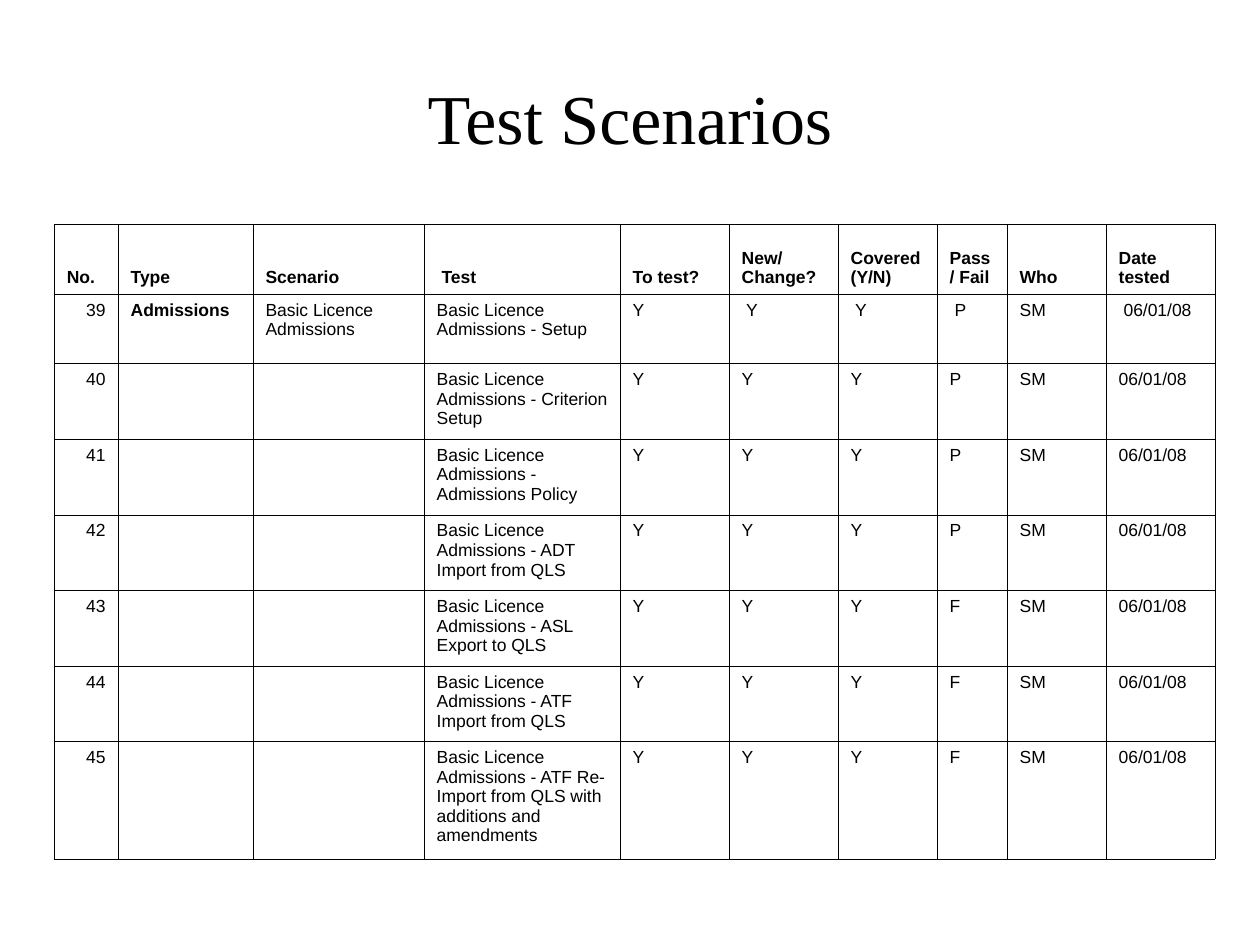
from dataclasses import dataclass

from lxml.etree import SubElement
from pptx import Presentation
from pptx.dml.color import RGBColor
from pptx.enum.text import MSO_ANCHOR, PP_ALIGN
from pptx.oxml.ns import qn
from pptx.util import Pt


@dataclass(frozen=True)
class Theme:
    ink: str = "000000"
    paper: str = "FFFFFF"
    title_font: str = "Times New Roman"
    table_font: str = "Arial"
    title_size: float = 40
    table_size: float = 10
    border: float = 0.45


HEADERS = ["No.", "Type", "Scenario", " Test", "To test?", "New/ Change?",
           "Covered (Y/N)", "Pass/ Fail", "Who", "Date tested"]
COL_WIDTHS = [36.5, 77.1, 97.8, 112, 62.3, 62.3, 56.6, 40, 56.6, 62.3]
ROW_HEIGHTS = [39.8] * 2 + [43.2] * 5 + [67]
FIRST_NO = 39
FIRST_ROW = [str(FIRST_NO), "Admissions", "Basic Licence Admissions",
             "Basic Licence Admissions - Setup", "Y", " Y", " Y", " P", "SM", " 06/01/08"]
LATER_TESTS = [
    ("Criterion Setup", "P"),
    ("Admissions Policy", "P"),
    ("ADT Import from QLS", "P"),
    ("ASL Export to QLS", "F"),
    ("ATF Import from QLS", "F"),
    ("ATF Re-Import from QLS with additions and amendments", "F"),
]


class SlideBuilder:
    def __init__(self, prs, theme):
        self.theme = theme
        self.slide = prs.slides.add_slide(prs.slide_layouts[5])
        fill = self.slide.background.fill
        fill.solid()
        fill.fore_color.rgb = RGBColor.from_string(theme.paper)

    def style(self, p, name, size, bold=False, align=PP_ALIGN.LEFT):
        p.alignment = align
        p.font.name, p.font.size, p.font.bold = name, Pt(size), bold
        p.font.color.rgb = RGBColor.from_string(self.theme.ink)

    def title(self, text, left, top, width, height):
        sp = self.slide.shapes.title
        sp.left, sp.top, sp.width, sp.height = map(Pt, (left, top, width, height))
        tf = sp.text_frame
        tf.text = text
        tf.vertical_anchor = MSO_ANCHOR.MIDDLE
        self.style(tf.paragraphs[0], self.theme.title_font, self.theme.title_size,
                   align=PP_ALIGN.CENTER)

    def borders(self, cell):
        tc_pr = cell._tc.get_or_add_tcPr()
        for side in ("a:lnL", "a:lnR", "a:lnT", "a:lnB"):
            ln = SubElement(tc_pr, qn(side), w=str(Pt(self.theme.border)))
            SubElement(SubElement(ln, qn("a:solidFill")), qn("a:srgbClr"), val=self.theme.ink)

    def cell(self, cell, text, bold, align, anchor):
        self.borders(cell)
        cell.fill.background()
        cell.margin_left = cell.margin_right = Pt(7.2)
        cell.margin_top = cell.margin_bottom = Pt(3.6)
        cell.vertical_anchor = anchor
        cell.text = text
        self.style(cell.text_frame.paragraphs[0], self.theme.table_font,
                   self.theme.table_size, bold, align)

    def table(self, rows, left, top, widths, heights):
        """Draw a ruled table: bold header row, right-aligned numbers, bold type column."""
        table = self.slide.shapes.add_table(
            len(rows), len(widths), Pt(left), Pt(top), Pt(sum(widths)), Pt(sum(heights))).table
        table.first_row = table.horz_banding = False
        for column, width in zip(table.columns, widths):
            column.width = Pt(width)
        for i, (values, height) in enumerate(zip(rows, heights)):
            table.rows[i].height = Pt(height)
            header = i == 0
            for j, text in enumerate(values):
                self.cell(table.cell(i, j), text,
                          bold=header or j == 1,
                          align=PP_ALIGN.RIGHT if j == 0 and not header else PP_ALIGN.LEFT,
                          anchor=MSO_ANCHOR.BOTTOM if header else MSO_ANCHOR.TOP)


def main():
    prs = Presentation()
    prs.slide_width, prs.slide_height = Pt(720), Pt(540)
    s = SlideBuilder(prs, Theme())
    s.title("Test Scenarios", 36, 15, 648, 103)
    later_rows = [
        [str(no), "", "", f"Basic Licence Admissions - {test}", "Y", "Y", "Y", result,
         "SM", "06/01/08"]
        for no, (test, result) in enumerate(LATER_TESTS, FIRST_NO + 1)
    ]
    s.table([HEADERS, FIRST_ROW, *later_rows], 31, 128.2, COL_WIDTHS, ROW_HEIGHTS)
    prs.save("out.pptx")


if __name__ == "__main__":
    main()
